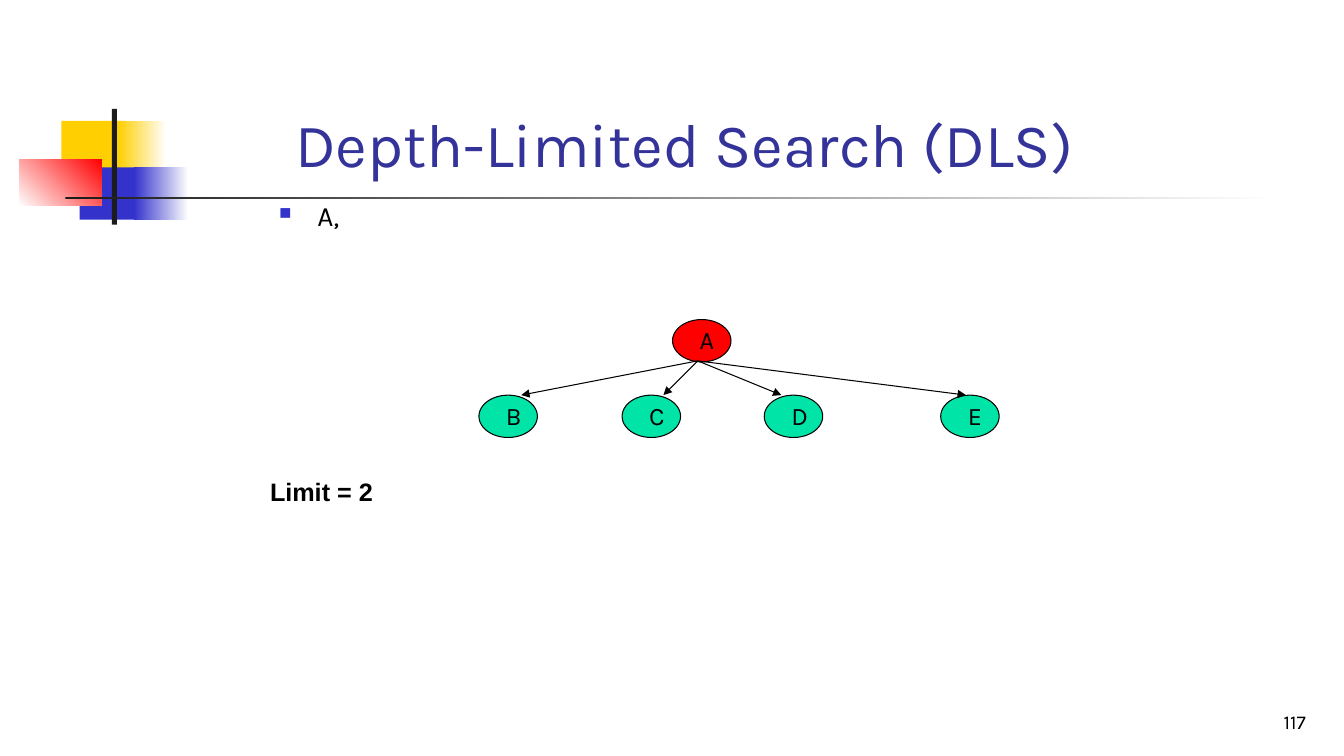
import pptx
import pptx.util
import pptx.dml.color
import pptx.enum.shapes
import pptx.enum.text
import pptx.oxml
import pptx.oxml.ns

Inches = pptx.util.Inches
Pt = pptx.util.Pt
RGBColor = pptx.dml.color.RGBColor
MSO_SHAPE = pptx.enum.shapes.MSO_SHAPE
MSO_ANCHOR = pptx.enum.text.MSO_ANCHOR
PP_ALIGN = pptx.enum.text.PP_ALIGN

BLACK = RGBColor(0x00, 0x00, 0x00)
WHITE = RGBColor(0xFF, 0xFF, 0xFF)
CHARCOAL = RGBColor(0x1C, 0x1C, 0x1C)
YELLOW = RGBColor(0xFF, 0xCF, 0x01)
BLUE = RGBColor(0x33, 0x33, 0xCC)
NAVY = RGBColor(0x33, 0x33, 0x99)
RED = RGBColor(0xFF, 0x00, 0x00)
GREEN = RGBColor(0x00, 0xE4, 0xA8)

NODE_W, NODE_H = 0.58, 0.42
CHILD_TOP = 3.92


class SlideBuilder:
    font = "Karla"
    line_width = Pt(0.75)

    def __init__(self, slide):
        self.s = slide

    def rect(self, x, y, w, h, start, end=None, angle=0):
        """Plain block, or a gradient from start to end (angle counter-clockwise)."""
        sp = self.s.shapes.add_shape(MSO_SHAPE.RECTANGLE, Inches(x), Inches(y),
                                     Inches(w), Inches(h))
        sp.shadow.inherit = False
        sp.line.fill.background()
        if end is None:
            sp.fill.solid()
            sp.fill.fore_color.rgb = start
        else:
            sp.fill.gradient()
            sp.fill.gradient_angle = angle
            for stop, color in zip(sp.fill.gradient_stops, (start, end)):
                stop.color.rgb = color

    def text(self, x, y, w, h, text, size, color=BLACK, font=None, bold=False,
             align=PP_ALIGN.LEFT, anchor=MSO_ANCHOR.TOP, shapes=None):
        shapes = shapes or self.s.shapes
        sp = shapes.add_textbox(Inches(x), Inches(y), Inches(w), Inches(h))
        tf = sp.text_frame
        tf.word_wrap = True
        tf.vertical_anchor = anchor
        tf.text = text
        p = tf.paragraphs[0]
        p.alignment = align
        r = p.runs[0]
        r.font.name = font or self.font
        r.font.size = Pt(size)
        r.font.bold = bold
        r.font.color.rgb = color
        return p

    def bullet(self, x, y, w, h, text, size):
        p = self.text(x, y, w, h, text, size)
        pPr = p._p.get_or_add_pPr()
        pPr.set("marL", str(Inches(0.38)))
        pPr.set("indent", str(-Inches(0.38)))
        ns = pptx.oxml.ns.nsdecls("a")
        for xml in (f'<a:buClr {ns}><a:srgbClr val="{BLUE}"/></a:buClr>',
                    f'<a:buSzPct {ns} val="60000"/>',
                    f'<a:buChar {ns} char="■"/>'):
            pPr.append(pptx.oxml.parse_xml(xml))

    def node(self, x, y, label, color):
        group = self.s.shapes.add_group_shape()
        sp = group.shapes.add_shape(MSO_SHAPE.OVAL, Inches(x), Inches(y),
                                    Inches(NODE_W), Inches(NODE_H))
        sp.shadow.inherit = False
        sp.fill.solid()
        sp.fill.fore_color.rgb = color
        sp.line.color.rgb = BLACK
        sp.line.width = self.line_width
        self.text(x + 0.17, y, 0.42, 0.4, label, 18, shapes=group.shapes)

    def arrow(self, x1, y1, x2, y2):
        c = self.s.shapes.add_connector(pptx.enum.shapes.MSO_CONNECTOR.STRAIGHT,
                                        Inches(x1), Inches(y1), Inches(x2), Inches(y2))
        c.line.color.rgb = BLACK
        c.line.width = self.line_width
        ns = pptx.oxml.ns.nsdecls("a")
        c.line._get_or_add_ln().append(
            pptx.oxml.parse_xml(f'<a:tailEnd {ns} type="triangle"/>'))
        c._element.spPr.append(pptx.oxml.parse_xml(f'<a:effectLst {ns}/>'))


def main():
    prs = pptx.Presentation()
    prs.slide_width, prs.slide_height = Inches(13.33), Inches(7.5)
    b = SlideBuilder(prs.slides.add_slide(prs.slide_layouts[6]))

    # Corner decoration and title rule
    b.rect(0.61, 1.2, 0.64, 0.52, YELLOW)
    b.rect(1.17, 1.2, 0.48, 0.52, YELLOW, WHITE)
    b.rect(0.79, 1.66, 0.62, 0.52, BLUE)
    b.rect(1.33, 1.66, 0.54, 0.52, BLUE, WHITE)
    b.rect(0.19, 1.58, 0.82, 0.46, WHITE, RED, angle=45)
    b.rect(1.11, 1.08, 0.05, 1.15, CHARCOAL)
    b.rect(0.65, 1.95, 12, 0.03, CHARCOAL, WHITE)

    # Slide number, title and visited nodes
    b.text(10.27, 6.83, 2.78, 0.5, "117", 14, align=PP_ALIGN.RIGHT,
           anchor=MSO_ANCHOR.BOTTOM)
    b.text(2.83, 0.58, 8.5, 1.25, "Depth-Limited Search (DLS)", 44, NAVY,
           anchor=MSO_ANCHOR.BOTTOM)
    b.bullet(2.67, 1.92, 8.5, 0.92, "A,", 20)

    # Search tree: label, left edge, arrow tip
    children = [("B", 4.75, 5.17), ("C", 6.17, 6.58),
                ("D", 7.58, 7.75), ("E", 9.33, 9.58)]
    b.node(6.67, 3.17, "A", RED)
    for label, x, tip in children:
        b.node(x, CHILD_TOP, label, GREEN)
    for label, x, tip in children:
        b.arrow(6.92, 3.58, tip, CHILD_TOP)

    # Depth limit
    b.text(2.58, 4.68, 1.33, 0.4, "Limit = 2", 18, font="Arial", bold=True)

    prs.save("out.pptx")


if __name__ == "__main__":
    main()
